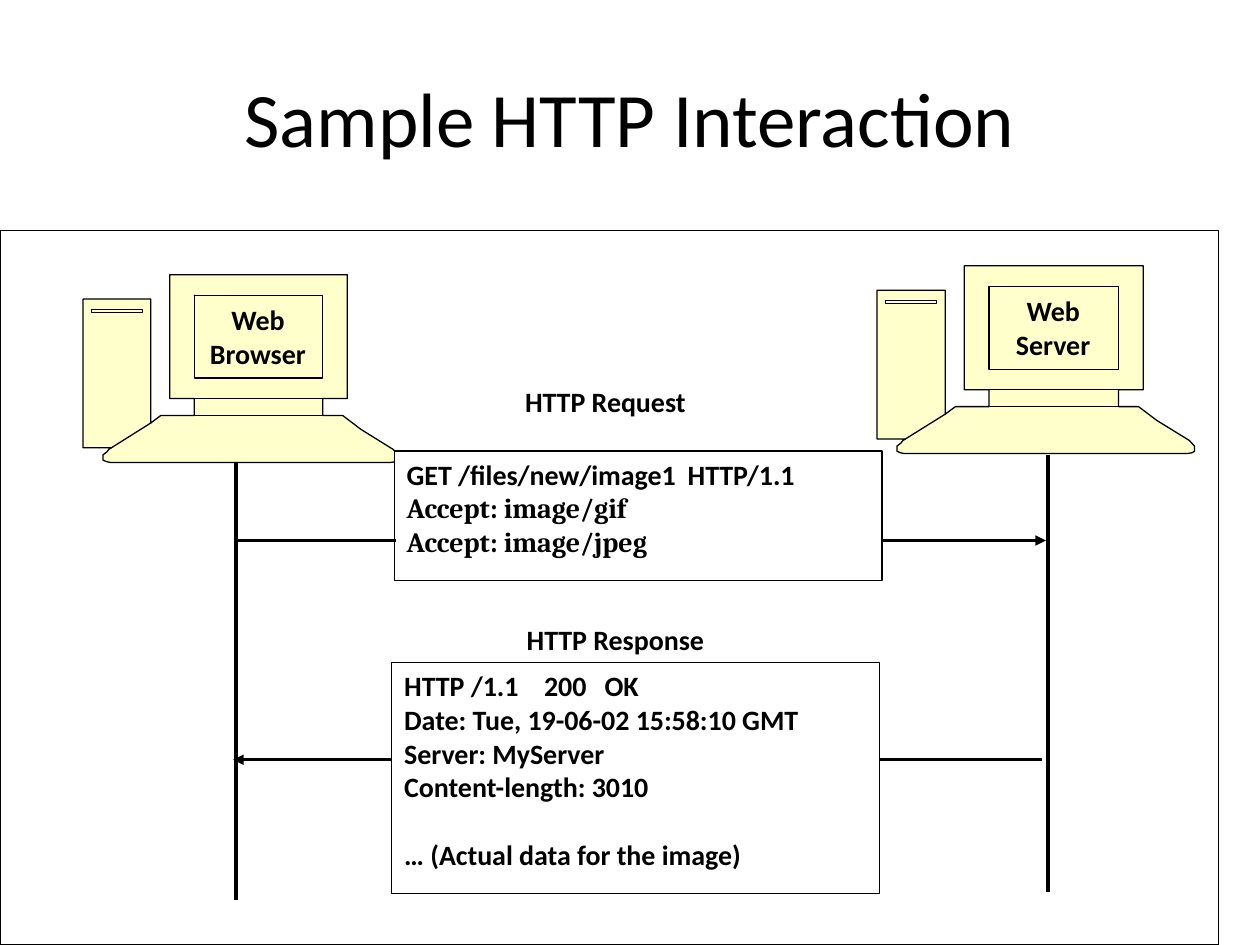
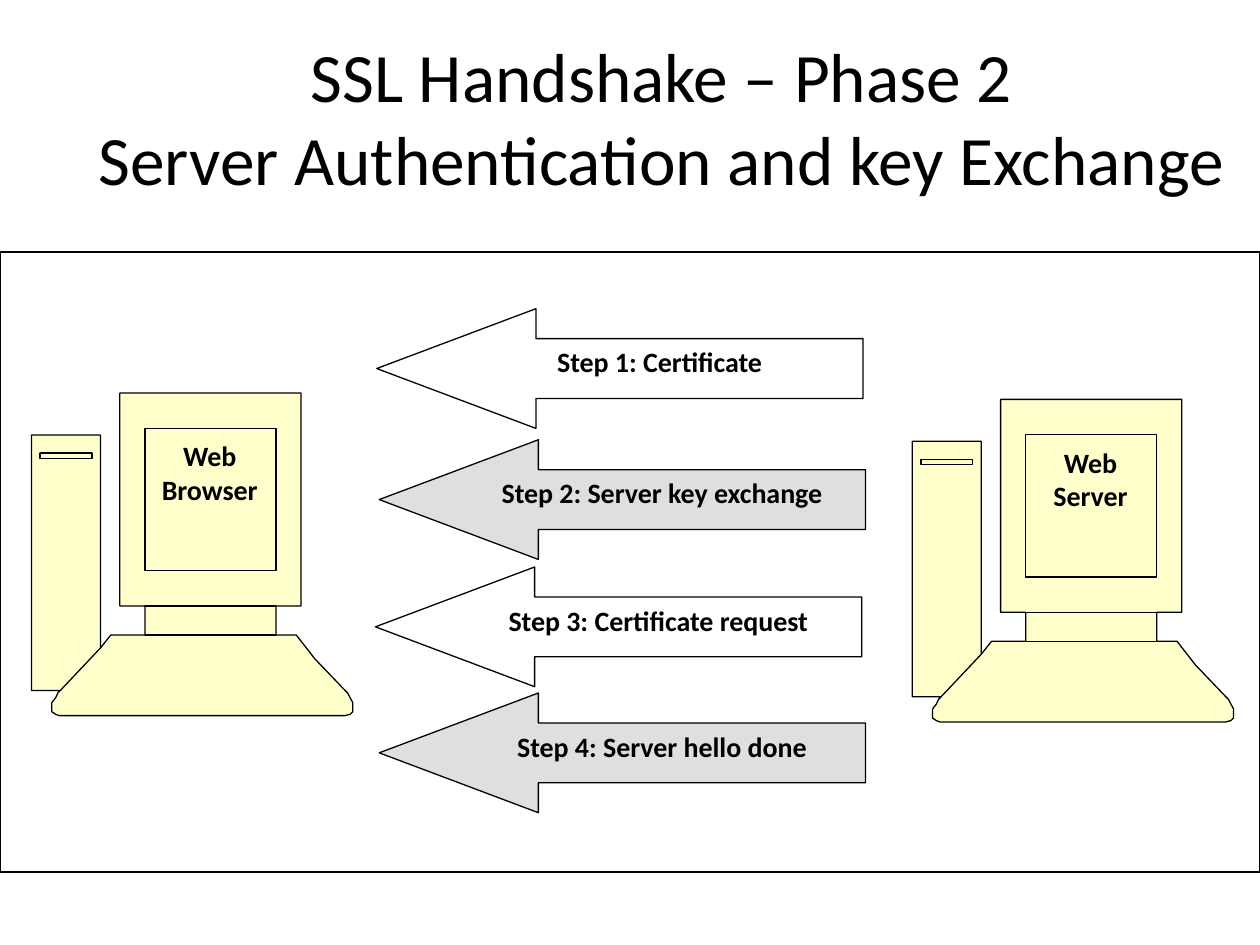
"""Build two slides on HTTP messages and the SSL handshake."""
import dataclasses

import pptx
import pptx.dml.color
import pptx.enum.shapes
import pptx.enum.text
import pptx.oxml.ns
import pptx.util
from lxml import etree

Inches = pptx.util.Inches
Pt = pptx.util.Pt
RGB = pptx.dml.color.RGBColor.from_string
SHAPE = pptx.enum.shapes.MSO_SHAPE
ALIGN = pptx.enum.text.PP_ALIGN
ANCHOR = pptx.enum.text.MSO_ANCHOR
qn = pptx.oxml.ns.qn


@dataclasses.dataclass(frozen=True)
class Theme:
    ink: str = "000000"
    paper: str = "FFFFFF"
    computer: str = "FFFFCC"
    shade: str = "C0C0C0"
    font: str = "Calibri"
    serif: str = "Cambria"
    title: float = 44
    long_title: float = 39.6
    body: float = 16
    outline: float = 0.75
    message_line: float = 1.5
    lifeline: float = 2.25


THEME = Theme()

COMPUTER_OUTLINE = [
    (21.5, 79), (24.7, 75), (35.3, 75), (35.3, 66), (27.5, 66), (27.5, 0),
    (83.9, 0), (83.9, 66), (76.1, 66), (76.1, 75), (82.4, 75), (88.2, 82.4),
    (97.6, 92.2), (98.4, 93), (99.2, 94.5), (100, 96), (100, 98.8),
    (99.2, 99.6), (97.6, 100), (8.6, 100), (7.5, 99.6), (6.3, 98.8),
    (6.3, 96), (7.5, 94.5), (8.2, 93), (9, 92.2), (0, 92.2), (0, 13),
    (21.5, 13),
]
COMPUTER_DETAILS = {
    "keyboard side": [(9, 92.2), (21.5, 79)],
    "neck top": [(35.3, 66), (76.1, 66)],
    "neck foot": [(35.3, 75), (76.1, 75)],
    "screen": [(35.3, 11), (76.1, 11), (76.1, 55.1), (35.3, 55.1), (35.3, 11)],
    "slot": [(2.7, 18.6), (18.8, 18.6), (18.8, 20.2), (2.7, 20.2), (2.7, 18.6)],
}


def style(sp, fill=THEME.paper, line=THEME.ink, alpha=None):
    sp.shadow.inherit = False
    sp.fill.solid()
    sp.fill.fore_color.rgb = RGB(fill)
    if alpha is not None:
        color = sp.element.spPr.find(".//" + qn("a:srgbClr"))
        etree.SubElement(color, qn("a:alpha")).set("val", str(alpha * 1000))
    if line:
        sp.line.color.rgb = RGB(line)
        sp.line.width = Pt(THEME.outline)
    else:
        sp.line.fill.background()


def add_text(sp, text, size=THEME.body, font=THEME.font, bold=True,
             align=ALIGN.CENTER, anchor=ANCHOR.TOP, before=0, tabs=()):
    tf = sp.text_frame
    tf.word_wrap = True
    tf.vertical_anchor = anchor
    p = tf.add_paragraph() if tf.text else tf.paragraphs[0]
    p.text = text
    p.alignment = align
    p.space_before = Pt(before)
    for r in p.runs:
        r.font.size = Pt(size)
        r.font.name = font
        r.font.bold = bold
        r.font.color.rgb = RGB(THEME.ink)
    if tabs:
        stops = etree.SubElement(p._p.get_or_add_pPr(), qn("a:tabLst"))
        for pos in tabs:
            etree.SubElement(stops, qn("a:tab"), pos=str(Inches(pos)), algn="l")


def add_box(s, x, y, w, h, kind=SHAPE.RECTANGLE, **look):
    sp = s.shapes.add_shape(kind, Inches(x), Inches(y), Inches(w), Inches(h))
    style(sp, **look)
    return sp


def add_title(s, text, width, size):
    sp = s.shapes.add_textbox(Inches(0.5), Inches(0.3), Inches(width), Inches(1.25))
    add_text(sp, text, size=size, bold=False, anchor=ANCHOR.MIDDLE)


def add_line(s, x1, y1, x2, y2, width, arrow=False):
    cn = s.shapes.add_connector(
        pptx.enum.shapes.MSO_CONNECTOR.STRAIGHT,
        Inches(x1), Inches(y1), Inches(x2), Inches(y2))
    cn.line.color.rgb = RGB(THEME.ink)
    cn.line.width = Pt(width)
    if arrow:
        etree.SubElement(cn.line._get_or_add_ln(), qn("a:tailEnd"), type="triangle")
    etree.SubElement(cn._element.spPr, qn("a:effectLst"))


def add_computer(s, name, x, y, w, h):
    def place(points):
        return [(Inches(x + px * w / 100), Inches(y + py * h / 100))
                for px, py in points]

    start, *rest = place(COMPUTER_OUTLINE)
    builder = s.shapes.build_freeform(*start)
    builder.add_line_segments(rest, close=True)
    for detail in COMPUTER_DETAILS.values():
        start, *rest = place(detail + detail[-2::-1])
        builder.move_to(*start)
        builder.add_line_segments(rest, close=False)
    sp = builder.convert_to_shape()
    style(sp, fill=THEME.computer)
    tf = sp.text_frame
    tf.margin_left = Inches(0.37 * w)
    tf.margin_right = Inches(0.26 * w)
    tf.margin_top = Inches(0.13 * h + 0.03)
    add_text(sp, name)


def add_message(s, label, label_at, box, lines):
    add_text(add_box(s, *label_at, 1.97, 0.35, line=None), label)
    sp = add_box(s, *box)
    for text, look in lines:
        add_text(sp, text, align=ALIGN.LEFT, **look)


def build_http(s):
    add_title(s, "Sample HTTP Interaction", 9, THEME.title)
    add_box(s, 0, 1.83, 9.67, 5.67)
    add_computer(s, "Web Browser", 0.66, 2.18, 2.5, 1.49)
    add_computer(s, "Web Server", 6.96, 2.11, 2.52, 1.49)
    serif = {"font": THEME.serif}
    add_message(s, "HTTP Request", (3.82, 3), (3.13, 3.58, 3.87, 1.03), [
        ("GET /files/new/image1\tHTTP/1.1", {"tabs": [2.23]}),
        ("Accept: image/gif", serif),
        ("Accept: image/jpeg", serif),
    ])
    add_message(s, "HTTP Response", (3.9, 4.89), (3.11, 5.26, 3.87, 1.83), [
        ("HTTP /1.1\t200\tOK", {"tabs": [1.11, 1.59]}),
        ("Date: Tue, 19-06-02 15:58:10 GMT", {}),
        ("Server: MyServer", {}),
        ("Content-length: 3010", {}),
        ("… (Actual data for the image)", {"before": 19.5}),
    ])
    for x, y in ((1.87, 3.67), (8.32, 3.61)):
        add_line(s, x, y, x, y + 3.47, THEME.lifeline)
    for x1, x2, y, arrow in ((1.88, 3.14, 4.29, False), (7.01, 8.3, 4.29, True),
                             (8.27, 6.98, 6.03, False), (3.11, 1.85, 6.03, True)):
        add_line(s, x1, y, x2, y, THEME.message_line, arrow)


def build_handshake(s):
    add_title(s, "SSL Handshake – Phase 2\vServer Authentication and key Exchange",
              9.5, THEME.long_title)
    add_box(s, 0, 2, 10, 4.92)
    add_computer(s, "Web Browser", 0.25, 3.12, 2.55, 2.56)
    add_computer(s, "Web Server", 7.24, 3.17, 2.55, 2.56)
    steps = [("Certificate", 2.99, 2.45), ("Server key exchange", 3.01, 3.49),
             ("Certificate request", 2.98, 4.5), ("Server hello done", 3.01, 5.5)]
    for number, (step, x, y) in enumerate(steps, 1):
        look = {} if number % 2 else {"fill": THEME.shade, "alpha": 50}
        sp = add_box(s, x, y, 3.86, 0.95, SHAPE.LEFT_ARROW, **look)
        sp.adjustments[0] = 0.5
        sp.adjustments[1] = 1.33
        add_text(sp, f"Step {number}: {step}")


def main():
    prs = pptx.Presentation()
    prs.slide_width, prs.slide_height = Inches(10), Inches(7.5)
    for build in (build_http, build_handshake):
        build(prs.slides.add_slide(prs.slide_layouts[6]))
    prs.save("out.pptx")


if __name__ == "__main__":
    main()
